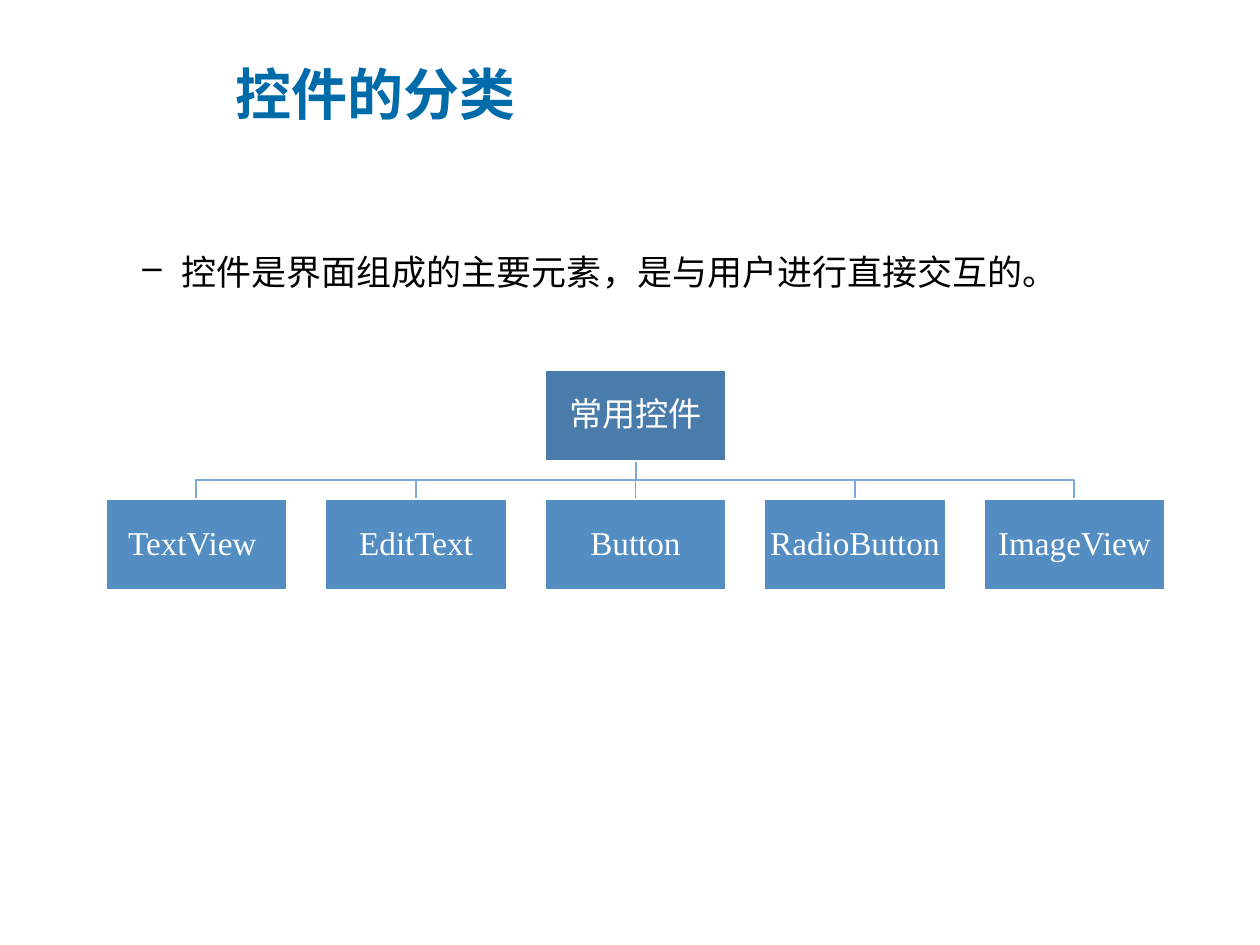
from lxml.etree import SubElement
from pptx import Presentation
from pptx.dml.color import RGBColor
from pptx.enum.shapes import MSO_CONNECTOR, MSO_SHAPE
from pptx.enum.text import MSO_ANCHOR, PP_ALIGN
from pptx.oxml.ns import qn
from pptx.util import Emu, Pt

SCALE = 914400 / 126  # EMU per px


def px(length):
    return Emu(round(length * SCALE))


def paint(color_format, hex_color):
    color_format.rgb = RGBColor.from_string(hex_color)


deck = Presentation()
deck.slide_width, deck.slide_height = px(1260), px(945)
page = deck.slides.add_slide(deck.slide_layouts[6])
spans = []  # (run, font name, size, colour)

# Title
title = page.shapes.add_textbox(px(223), px(55), px(973), px(77))
title.text_frame.word_wrap = True
title.text_frame.vertical_anchor = MSO_ANCHOR.MIDDLE
span = title.text_frame.paragraphs[0].add_run()
span.text = "控件的分类"
span.font.bold = True
spans.append((span, "Noto Sans CJK SC", 32, "006BA9"))

# Introduction with a dash bullet
body = page.shapes.add_textbox(px(67), px(223), px(1099), px(433))
body.text_frame.word_wrap = True
para = body.text_frame.paragraphs[0]
para.line_spacing = 1.5
properties = para._p.get_or_add_pPr()
properties.set("marL", str(px(102)))
properties.set("indent", str(px(-39)))
SubElement(properties, qn("a:buChar")).set("char", "–")
span = para.add_run()
span.text = "控件是界面组成的主要元素，是与用户进行直接交互的。"
spans.append((span, "Calibri", 20, "000000"))

# Tree grid
box_width, box_height = 181, 91
root_top, child_top = 370, 499
first_left, pitch = 106, 219.5
children = ["TextView ", "EditText", "Button", "RadioButton", "ImageView"]
lefts = [first_left + pitch * column for column in range(len(children))]
root_left = lefts[2]
root_center = root_left + box_width / 2
root_bottom = root_top + box_height
branch_y = (root_bottom + child_top) / 2

# Branches from the root to each child
for left in lefts:
    center = left + box_width / 2
    if center == root_center:
        branch = page.shapes.add_connector(
            MSO_CONNECTOR.STRAIGHT, px(center), px(root_bottom), px(center), px(child_top))
        SubElement(branch._element.spPr, qn("a:ln"))
        branch.line.width = Pt(1)
        paint(branch.line.color, "7AA9DA")
        SubElement(branch._element.spPr, qn("a:effectLst"))
        continue
    builder = page.shapes.build_freeform(root_center, root_bottom, scale=SCALE)
    builder.add_line_segments(
        [(root_center, branch_y), (center, branch_y), (center, child_top)], close=False)
    branch = builder.convert_to_shape()
    branch.shadow.inherit = False
    branch.fill.background()
    branch.line.width = Pt(1)
    paint(branch.line.color, "7AA9DA")

# Boxes
nodes = [("常用控件", root_left, root_top, "497CAB", "Arial")]
nodes += [(name, left, child_top, "538DC1", "Times New Roman")
          for name, left in zip(children, lefts)]
for name, left, top, fill, font_name in nodes:
    box = page.shapes.add_shape(
        MSO_SHAPE.RECTANGLE, px(left), px(top), px(box_width), px(box_height))
    box.shadow.inherit = False
    box.fill.solid()
    paint(box.fill.fore_color, fill)
    box.line.width = Pt(1)
    paint(box.line.color, "FFFFFF")
    frame = box.text_frame
    frame.word_wrap = True
    frame.vertical_anchor = MSO_ANCHOR.MIDDLE
    frame.margin_left = frame.margin_right = px(1)
    frame.margin_top = frame.margin_bottom = px(1)
    para = frame.paragraphs[0]
    para.alignment = PP_ALIGN.CENTER
    para.line_spacing = 0.9
    span = para.add_run()
    span.text = name
    spans.append((span, font_name, 19, "FFFFFF"))

# Fonts, for Latin and East Asian letters alike
for span, font_name, size, color in spans:
    span.font.size = Pt(size)
    paint(span.font.color, color)
    span.font.name = font_name
    SubElement(span._r.get_or_add_rPr(), qn("a:ea")).set("typeface", font_name)

deck.save("out.pptx")
